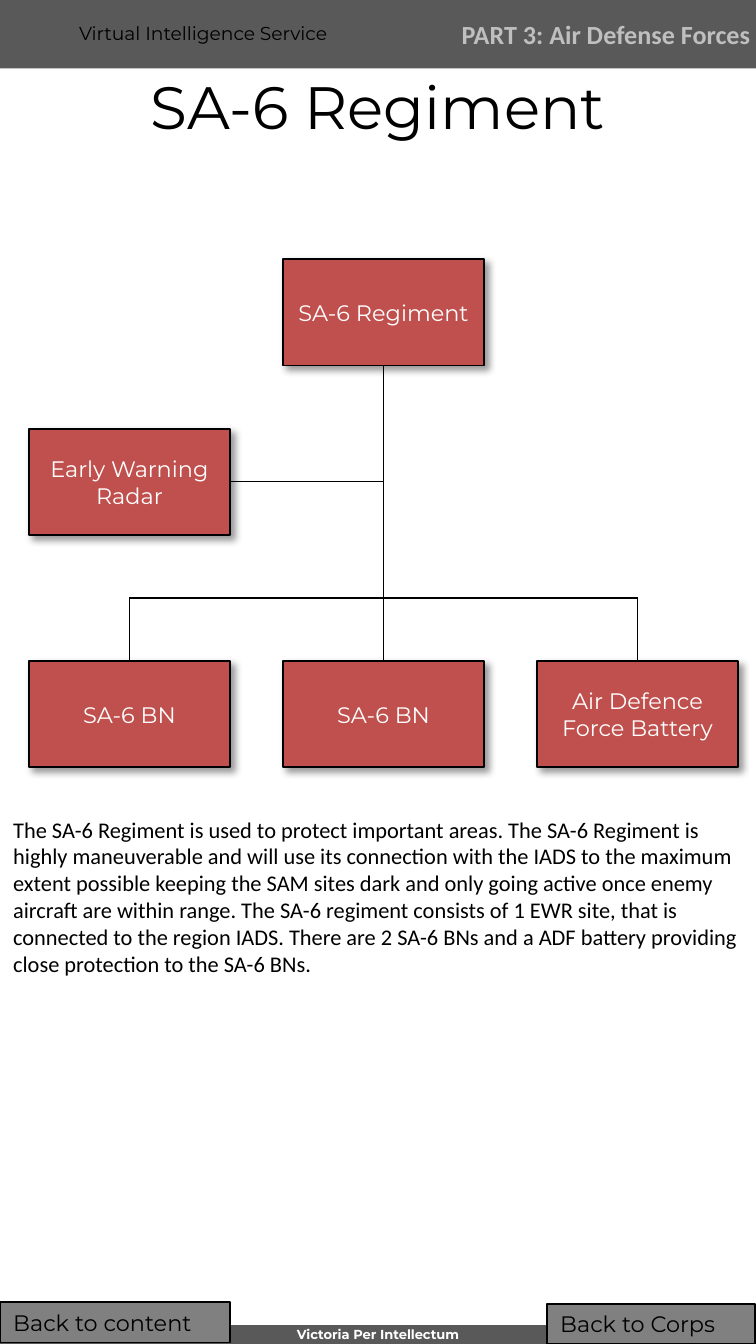
from dataclasses import dataclass

from lxml.etree import SubElement
from pptx import Presentation
from pptx.dml.color import RGBColor
from pptx.enum.shapes import MSO_CONNECTOR, MSO_SHAPE
from pptx.enum.text import MSO_ANCHOR, PP_ALIGN
from pptx.oxml.ns import qn
from pptx.util import Inches, Pt

HEIGHT = 10
WIDTH = HEIGHT * 9 / 16
COLORS = {
    "band": "595959", "unit": "C0504D", "button": "808080",
    "black": "000000", "white": "FFFFFF", "section": "BFBFBF",
}
# Organisation chart grid
MARGIN, COLUMN_STEP = WIDTH * 0.038, 1.89
ROW_TOPS = (1.93, 3.19, 4.92)
UNIT_WIDTH, UNIT_HEIGHT = 1.5, 0.79
BUS_Y = 4.45
BAND_HEIGHT = 0.51
BOTTOM, RIGHT, TOP = 2, 3, 0


@dataclass
class Area:
    left: float
    top: float
    width: float
    height: float

    def emu(self) -> list:
        return [Inches(v) for v in (self.left, self.top, self.width, self.height)]


@dataclass
class Style:
    size: float
    color: str = "black"
    font: str = "Montserrat"
    bold: bool = False
    align: PP_ALIGN = PP_ALIGN.LEFT
    anchor: MSO_ANCHOR = MSO_ANCHOR.TOP


@dataclass
class Unit:
    label: str
    column: int
    row: int

    def area(self) -> Area:
        return Area(MARGIN + self.column * COLUMN_STEP, ROW_TOPS[self.row],
                    UNIT_WIDTH, UNIT_HEIGHT)


@dataclass
class Button:
    label: str
    area: Area


REGIMENT = Unit("SA-6 Regiment", 1, 0)
RADAR = Unit("Early Warning Radar", 0, 1)
SUBORDINATES = (
    Unit("SA-6 BN", 0, 2),
    Unit("SA-6 BN", 1, 2),
    Unit("Air Defence Force Battery", 2, 2),
)
BUTTONS = (
    Button("Back to content", Area(0, 9.69, 1.71, 0.3)),
    Button("Back to Corps", Area(4.07, 9.7, 1.55, 0.3)),
)
DESCRIPTION = (
    "The SA-6 Regiment is used to protect important areas. The SA-6 Regiment is "
    "highly maneuverable and will use its connection with the IADS to the maximum "
    "extent possible keeping the SAM sites dark and only going active once enemy "
    "aircraft are within range. The SA-6 regiment consists of 1 EWR site, that is "
    "connected to the region IADS. There are 2 SA-6 BNs and a ADF battery providing "
    "close protection to the SA-6 BNs."
)
CENTERED = {"align": PP_ALIGN.CENTER, "anchor": MSO_ANCHOR.MIDDLE}
UNIT_STYLE = Style(12, "white", **CENTERED)


def rgb(name: str) -> RGBColor:
    return RGBColor.from_string(COLORS[name])


def write(shape, text: str, style: Style) -> None:
    frame = shape.text_frame
    frame.word_wrap = True
    frame.vertical_anchor = style.anchor
    paragraph = frame.paragraphs[0]
    paragraph.alignment = style.align
    run = paragraph.add_run()
    run.text = text
    run.font.name = style.font
    run.font.size = Pt(style.size)
    run.font.bold = style.bold
    run.font.color.rgb = rgb(style.color)


def add_text(slide, area: Area, text: str, style: Style):
    box = slide.shapes.add_textbox(*area.emu())
    write(box, text, style)
    return box


def add_rectangle(slide, area: Area, fill: str, outlined: bool = True):
    rectangle = slide.shapes.add_shape(MSO_SHAPE.RECTANGLE, *area.emu())
    rectangle.shadow.inherit = False
    rectangle.fill.solid()
    rectangle.fill.fore_color.rgb = rgb(fill)
    if outlined:
        rectangle.line.color.rgb = rgb("black")
        rectangle.line.width = Pt(1)
    else:
        rectangle.line.fill.background()
    return rectangle


def add_drop_shadow(shape) -> None:
    effects = shape._element.spPr.find(qn("a:effectLst"))
    shadow = SubElement(effects, qn("a:outerShdw"), blurRad=str(Pt(4)),
                        dist=str(Pt(3)), dir=str(45 * 60000), rotWithShape="0")
    color = SubElement(shadow, qn("a:srgbClr"), val=COLORS["black"])
    SubElement(color, qn("a:alpha"), val="40000")


def add_unit(slide, unit: Unit):
    box = add_rectangle(slide, unit.area(), "unit")
    add_drop_shadow(box)
    write(box, unit.label, UNIT_STYLE)
    return box


def add_line(slide, x1: float, y1: float, x2: float, y2: float):
    line = slide.shapes.add_connector(
        MSO_CONNECTOR.STRAIGHT, *(Inches(v) for v in (x1, y1, x2, y2)))
    line.line.color.rgb = rgb("black")
    line.line.width = Pt(0.75)
    SubElement(line._element.spPr, qn("a:effectLst"))
    return line


def add_bands(slide) -> None:
    add_rectangle(slide, Area(0, 0, WIDTH, BAND_HEIGHT), "band", outlined=False)
    add_rectangle(slide, Area(0, 9.86, WIDTH, 0.14), "band", outlined=False)
    add_text(slide, Area(0.49, 0.11, 3.86, 0.27), "Virtual Intelligence Service", Style(10))
    motto = add_text(slide, Area(0, 9.87, WIDTH, 0.12), "Victoria Per Intellectum",
                     Style(7, "white", bold=True, align=PP_ALIGN.CENTER))
    frame = motto.text_frame
    frame.margin_left = frame.margin_right = frame.margin_top = frame.margin_bottom = 0
    add_text(slide, Area(3.26, 0, 2.5, BAND_HEIGHT), "PART 3: Air Defense Forces",
             Style(14, "section", "Calibri", True, **CENTERED))


def add_organisation(slide) -> None:
    regiment = add_unit(slide, REGIMENT)
    radar = add_unit(slide, RADAR)
    boxes = [add_unit(slide, unit) for unit in SUBORDINATES]
    centers = [unit.area().left + UNIT_WIDTH / 2 for unit in SUBORDINATES]
    left, middle, right = centers

    trunk = add_line(slide, middle, ROW_TOPS[0] + UNIT_HEIGHT, middle, ROW_TOPS[2])
    trunk.begin_connect(regiment, BOTTOM)
    trunk.end_connect(boxes[1], TOP)
    for center, box in ((left, boxes[0]), (right, boxes[2])):
        drop = add_line(slide, center, BUS_Y, center, ROW_TOPS[2])
        drop.end_connect(box, TOP)
    radar_y = ROW_TOPS[1] + UNIT_HEIGHT / 2
    branch = add_line(slide, middle, radar_y, MARGIN + UNIT_WIDTH, radar_y)
    branch.end_connect(radar, RIGHT)
    add_line(slide, right, BUS_Y, left, BUS_Y)


def main() -> None:
    deck = Presentation()
    deck.slide_width, deck.slide_height = Inches(WIDTH), Inches(HEIGHT)
    slide = deck.slides.add_slide(deck.slide_layouts[6])
    add_bands(slide)
    add_text(slide, Area(0, BAND_HEIGHT, WIDTH, 0.55), "SA-6 Regiment",
             Style(32, **CENTERED))
    add_organisation(slide)
    for button in BUTTONS:
        write(add_rectangle(slide, button.area, "button"), button.label, Style(12))
    add_text(slide, Area(0, 6.02, WIDTH, 1.72), DESCRIPTION, Style(12, font="Calibri"))
    deck.save("out.pptx")


if __name__ == "__main__":
    main()
